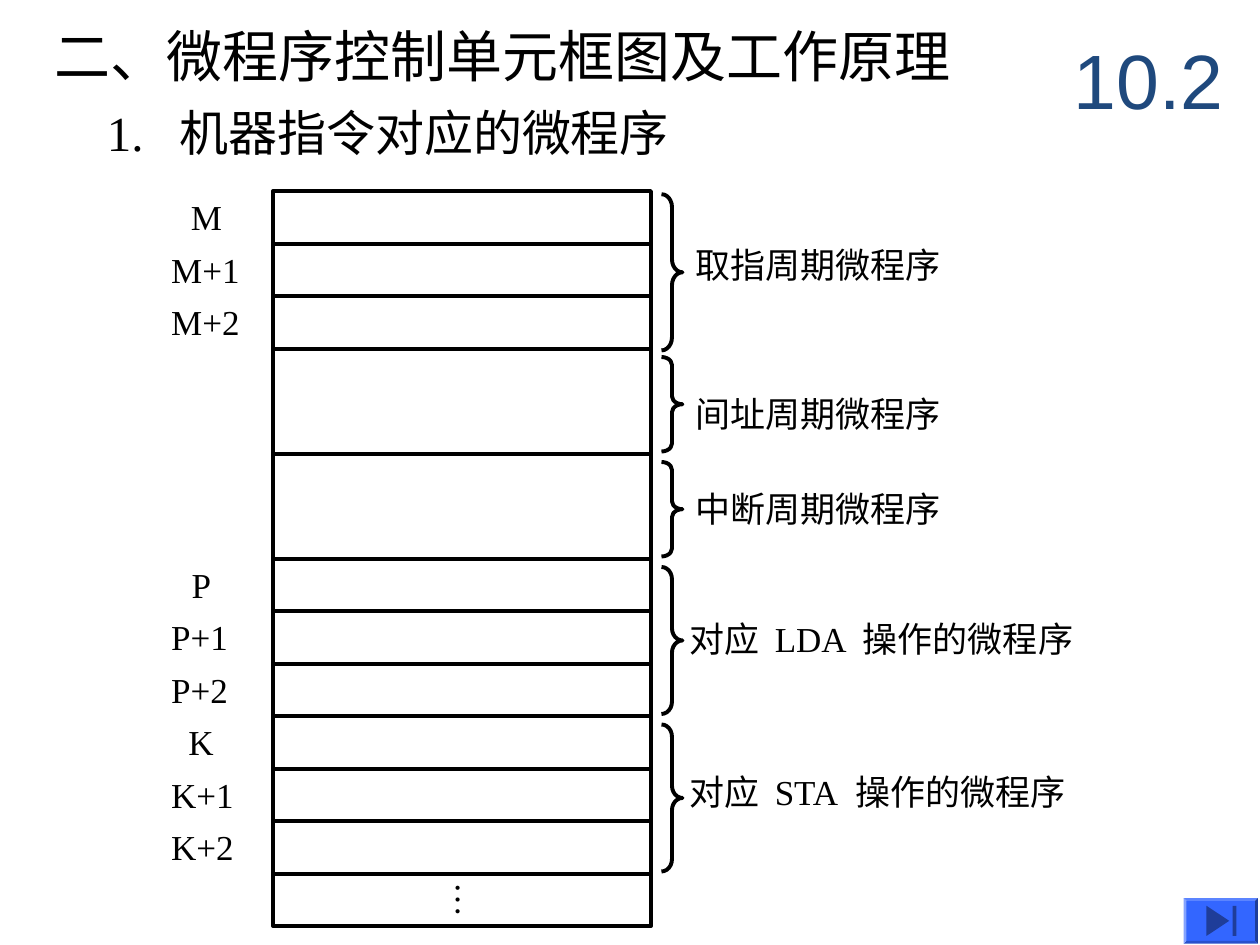
from lxml.etree import SubElement
from pptx import Presentation
from pptx.dml.color import RGBColor
from pptx.enum.shapes import MSO_CONNECTOR, MSO_SHAPE as Shape
from pptx.enum.text import MSO_ANCHOR as Anchor
from pptx.oxml.ns import qn
from pptx.util import Pt

BLACK = RGBColor(0, 0, 0)
NAVY = RGBColor(0x1F, 0x49, 0x7D)
BLUE = RGBColor(0x33, 0x66, 0xFF)
DARK_BLUE = RGBColor(0x1F, 0x3D, 0x99)

MEMORY_LEFT, MEMORY_TOP = 156, 109.25
MEMORY_WIDTH, ROW = 216, 30
MEMORY_RIGHT = MEMORY_LEFT + MEMORY_WIDTH
BRACE_LEFT, BRACE_WIDTH = 378, 12


def write(frame, text, size=20, font="Times New Roman", color=BLACK,
          anchor=Anchor.TOP, wrap=True, tabs=(), vertical=False):
    frame.word_wrap = wrap
    frame.vertical_anchor = anchor
    across, along = (3.6, 7.2) if vertical else (7.2, 3.6)
    frame.margin_left = frame.margin_right = Pt(across)
    frame.margin_top = frame.margin_bottom = Pt(along)
    if vertical:
        frame._txBody.bodyPr.set("vert", "eaVert")
    paragraph = frame.paragraphs[0]
    if tabs:
        stops = SubElement(paragraph._p.get_or_add_pPr(), qn("a:tabLst"))
        for position in tabs:
            SubElement(stops, qn("a:tab"), pos=str(Pt(position)), algn="l")
    run = paragraph.add_run()
    run.text = text
    run.font.size = Pt(size)
    run.font.name = font
    run.font.color.rgb = color


class Board:
    def __init__(self, slide, line_width=2.25):
        self.shapes = slide.shapes
        self.line_width = Pt(line_width)

    def text(self, left, top, width, height, text, **style):
        box = self.shapes.add_textbox(Pt(left), Pt(top), Pt(width), Pt(height))
        write(box.text_frame, text, **style)

    def outline(self, preset, left, top, width, height):
        shape = self.shapes.add_shape(preset, Pt(left), Pt(top), Pt(width), Pt(height))
        shape.shadow.inherit = False
        shape.fill.background()
        shape.line.color.rgb = BLACK
        shape.line.width = self.line_width
        return shape

    def brace(self, top, height):
        brace = self.outline(Shape.RIGHT_BRACE, BRACE_LEFT, top, BRACE_WIDTH, height)
        brace.adjustments[0] = height / 12 / BRACE_WIDTH

    def line(self, x1, y1, x2, y2):
        line = self.shapes.add_connector(MSO_CONNECTOR.STRAIGHT,
                                         Pt(x1), Pt(y1), Pt(x2), Pt(y2))
        line.line.color.rgb = BLACK
        line.line.width = self.line_width
        SubElement(line._element.spPr, qn("a:effectLst"))

    def solid(self, shape, color):
        shape.shadow.inherit = False
        shape.fill.solid()
        shape.fill.fore_color.rgb = color
        shape.line.fill.background()

    def end_button(self, left, top, width, height):
        face = self.shapes.add_shape(Shape.BEVEL, Pt(left), Pt(top), Pt(width), Pt(height))
        face.adjustments[0] = 0.06
        self.solid(face, BLUE)
        middle = top + height / 2
        arrow = self.shapes.build_freeform(Pt(left + 13), Pt(middle - 8.6))
        arrow.add_line_segments([(Pt(left + 26), Pt(middle)),
                                 (Pt(left + 13), Pt(middle + 8.6))])
        self.solid(arrow.convert_to_shape(), DARK_BLUE)
        bar = self.shapes.add_shape(Shape.RECTANGLE, Pt(left + 28), Pt(middle - 8.6),
                                    Pt(2.2), Pt(17.2))
        self.solid(bar, DARK_BLUE)


def row_top(row):
    return MEMORY_TOP + ROW * row


def main():
    deck = Presentation()
    deck.slide_width, deck.slide_height = Pt(720), Pt(540)
    board = Board(deck.slides.add_slide(deck.slide_layouts[6]))

    board.text(24, 8.5, 576, 46, "二、微程序控制单元框图及工作原理", size=32)
    board.text(54, 55.2, 384, 41, "1.\t机器指令对应的微程序", size=28, tabs=[41.5])
    board.text(606.5, 12, 113.5, 66, "10.2", size=44, font="Arial", color=NAVY,
               anchor=Anchor.MIDDLE)

    for row in (0, 1, 2, *range(7, 14)):
        board.outline(Shape.RECTANGLE, MEMORY_LEFT, row_top(row), MEMORY_WIDTH, ROW)
    for side in (MEMORY_LEFT, MEMORY_RIGHT):
        board.line(side, row_top(3), side, row_top(7))
    board.line(MEMORY_LEFT, row_top(5), MEMORY_RIGHT, row_top(5))

    for base, first_row, left in [("M", 0, 102), ("P", 7, 102.4), ("K", 10, 100.6)]:
        board.text(left, row_top(first_row) - 1, 40, 31.5, base)
        for offset in (1, 2):
            board.text(90.7, row_top(first_row + offset) - 1, 62, 31.5,
                       f"{base}+{offset}")
    board.text(246.2, 497.2, 38, 27.4, "…", wrap=False, vertical=True)

    routines = [
        ("取指周期微程序", 390.4, 135.4, (), 111, 89.3),
        ("间址周期微程序", 390.4, 221, (), 204, 54),
        ("中断周期微程序", 390.4, 275, (), 264, 54),
        ("对应\tLDA\t操作的微程序", 387, 349.2, (48.6, 98.9), 324, 84),
        ("对应\tSTA\t操作的微程序", 387, 437, (48.6, 94.5), 414, 84),
    ]
    for name, left, top, tabs, brace_top, brace_height in routines:
        board.brace(brace_top, brace_height)
        board.text(left, top, 250, 31.5, name, tabs=tabs)

    board.end_button(676.4, 513.2, 42.4, 26)
    deck.save("out.pptx")


if __name__ == "__main__":
    main()
